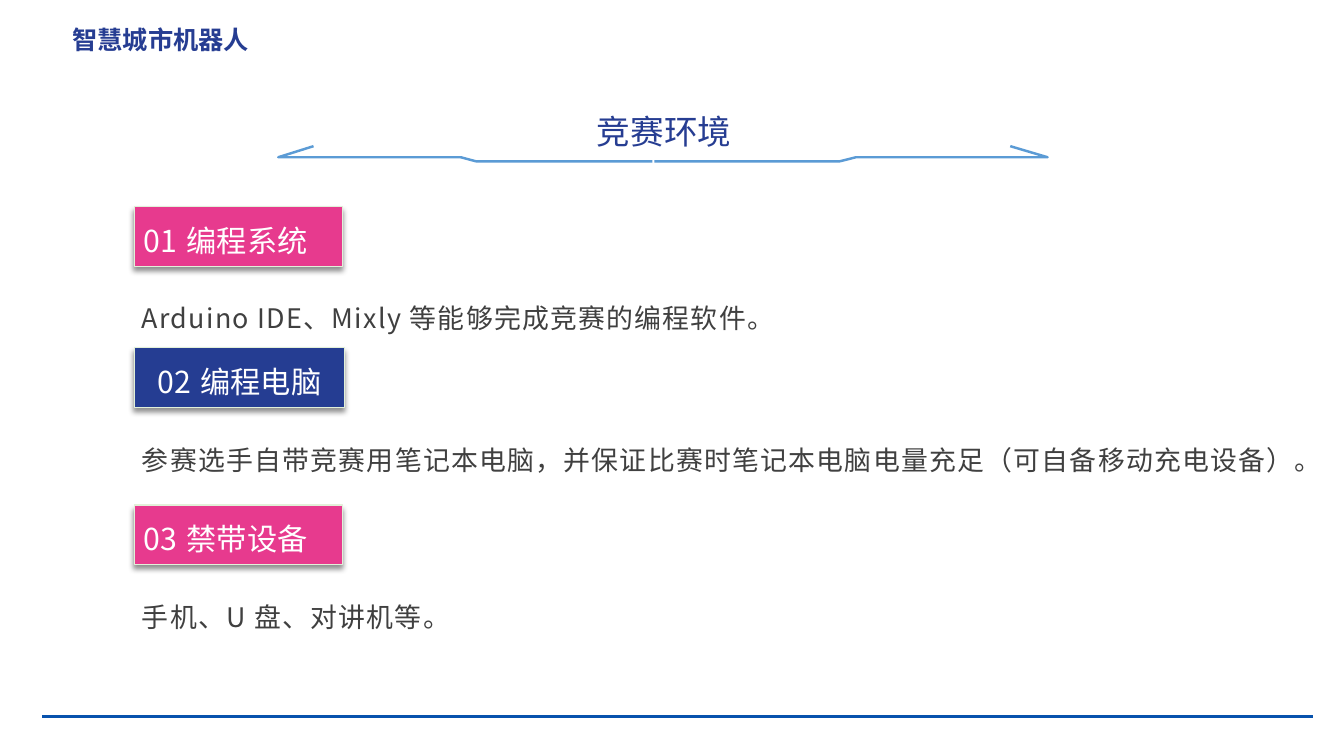
from dataclasses import dataclass

import pptx
import pptx.dml.color
import pptx.enum.shapes
import pptx.enum.text
import pptx.oxml
import pptx.oxml.ns
import pptx.util

RGBColor = pptx.dml.color.RGBColor
ALIGN = pptx.enum.text.PP_ALIGN

PX = 9144  # EMU in one px, 100 px to the inch
FONT = "Noto Sans CJK SC"

NAVY = RGBColor(0x26, 0x3D, 0x92)
LABEL_NAVY = RGBColor(0x25, 0x3D, 0x92)
PINK = RGBColor(0xE7, 0x3A, 0x8E)
PALE_GREEN = RGBColor(0xE2, 0xF0, 0xD9)
SKY = RGBColor(0x5B, 0x9B, 0xD5)
RULE_BLUE = RGBColor(0x07, 0x52, 0xAD)
GREY = RGBColor(0x40, 0x40, 0x40)
BLACK = RGBColor(0, 0, 0)
WHITE = RGBColor(0xFF, 0xFF, 0xFF)


@dataclass(frozen=True)
class Section:
    number: str
    heading: str
    body: str
    label_top: int
    body_top: int
    label_width: int = 207
    body_width: int = 901
    fill: RGBColor = PINK
    align: ALIGN = ALIGN.LEFT


@dataclass(frozen=True)
class Rule:
    left: int
    right: int
    y: int
    color: RGBColor
    weight: float


SECTIONS = [
    Section("01", "编程系统", "Arduino IDE、Mixly 等能够完成竞赛的编程软件。", 205, 281),
    Section("02", "编程电脑",
            "参赛选手自带竞赛用笔记本电脑，并保证比赛时笔记本电脑电量充足（可自备移动充电设备）。",
            345, 422, label_width=209, body_width=1197, fill=LABEL_NAVY,
            align=ALIGN.CENTER),
    Section("03", "禁带设备", "手机、U 盘、对讲机等。", 501, 577),
]
FOOTER_RULES = [
    Rule(44, 1300, 712, BLACK, 0.75),
    Rule(42, 1302, 711, RULE_BLUE, 2),
]
TITLE_ARROWS = [
    [(311, 145), (276, 156), (457, 156), (472, 160), (647, 160)],
    [(1002, 145), (1039, 156), (849, 156), (833, 160), (649, 160)],
]


def add_span(para, text: str, *, size: float, color: RGBColor,
             bold: bool = False, spacing: float = 0) -> None:
    span = para.add_run()
    span.text = text
    span.font.size = pptx.util.Pt(size)
    span.font.bold = bold
    span.font.color.rgb = color
    span.font.name = FONT
    properties = span._r.get_or_add_rPr()
    east_asian = pptx.oxml.parse_xml(
        f'<a:ea {pptx.oxml.ns.nsdecls("a")} typeface="{FONT}"/>')
    properties.find(pptx.oxml.ns.qn("a:latin")).addnext(east_asian)
    if spacing:
        properties.set("spc", str(round(spacing * 100)))


def prepare_frame(box, *, align: ALIGN = ALIGN.LEFT, line_spacing: float = 1.0):
    frame = box.text_frame
    frame.word_wrap = True
    frame.auto_size = pptx.enum.text.MSO_AUTO_SIZE.NONE
    frame.vertical_anchor = pptx.enum.text.MSO_ANCHOR.MIDDLE
    para = frame.paragraphs[0]
    para.alignment = align
    para.line_spacing = line_spacing
    return para


def add_text(page, text: str, left: int, top: int, width: int, height: int, *,
             line_spacing: float = 1.0, **text_format) -> None:
    box = page.shapes.add_textbox(left * PX, top * PX, width * PX, height * PX)
    add_span(prepare_frame(box, line_spacing=line_spacing), text, **text_format)


def add_rule(page, rule: Rule) -> None:
    line = page.shapes.add_connector(
        pptx.enum.shapes.MSO_CONNECTOR.STRAIGHT,
        rule.left * PX, rule.y * PX, rule.right * PX, rule.y * PX)
    line.line.color.rgb = rule.color
    line.line.width = pptx.util.Pt(rule.weight)
    line._element.spPr.append(pptx.oxml.parse_xml(
        f'<a:effectLst {pptx.oxml.ns.nsdecls("a")}/>'))


def add_arrow(page, points: list[tuple[int, int]]) -> None:
    builder = page.shapes.build_freeform(*points[0], scale=PX)
    builder.add_line_segments(points[1:], close=False)
    arrow = builder.convert_to_shape()
    arrow.shadow.inherit = False
    arrow.fill.background()
    arrow.line.color.rgb = SKY
    arrow.line.width = pptx.util.Pt(1.75)


def add_drop_shadow(shape) -> None:
    shape._element.spPr.append(pptx.oxml.parse_xml(
        f'<a:effectLst {pptx.oxml.ns.nsdecls("a")}>'
        f'<a:outerShdw blurRad="{pptx.util.Pt(4)}" dist="{pptx.util.Pt(3)}" '
        'dir="5400000" rotWithShape="0"><a:srgbClr val="000000">'
        '<a:alpha val="43000"/></a:srgbClr></a:outerShdw></a:effectLst>'))


def add_section(page, section: Section) -> None:
    label = page.shapes.add_shape(
        pptx.enum.shapes.MSO_SHAPE.RECTANGLE, 133 * PX, section.label_top * PX,
        section.label_width * PX, 59 * PX)
    label.fill.solid()
    label.fill.fore_color.rgb = section.fill
    label.line.color.rgb = PALE_GREEN
    label.line.width = pptx.util.Pt(0.75)
    add_drop_shadow(label)
    para = prepare_frame(label, align=section.align)
    for text, size in [(section.number, 21.6), (" ", 28.8), (section.heading, 21.6)]:
        add_span(para, text, size=size, color=WHITE)
    add_text(page, section.body, 131, section.body_top, section.body_width, 53,
             line_spacing=1.5, size=19.2, color=GREY, spacing=0.9)


def main() -> None:
    deck = pptx.Presentation()
    deck.slide_width, deck.slide_height = 1333 * PX, 750 * PX
    page = deck.slides.add_slide(deck.slide_layouts[5])

    # Footer rules
    for rule in FOOTER_RULES:
        add_rule(page, rule)

    # Title between two mirrored arrows
    for points in TITLE_ARROWS:
        add_arrow(page, points)
    title = page.shapes.title
    title.left, title.top, title.width, title.height = (
        582 * PX, 105 * PX, 170 * PX, 50 * PX)
    add_span(prepare_frame(title), "竞赛环境", size=24, color=NAVY)

    # Numbered sections
    for section in SECTIONS:
        add_section(page, section)

    # Topic in the corner
    add_text(page, "智慧城市机器人", 62, 19, 214, 40, size=18, color=NAVY, bold=True)

    deck.save("out.pptx")


if __name__ == "__main__":
    main()
